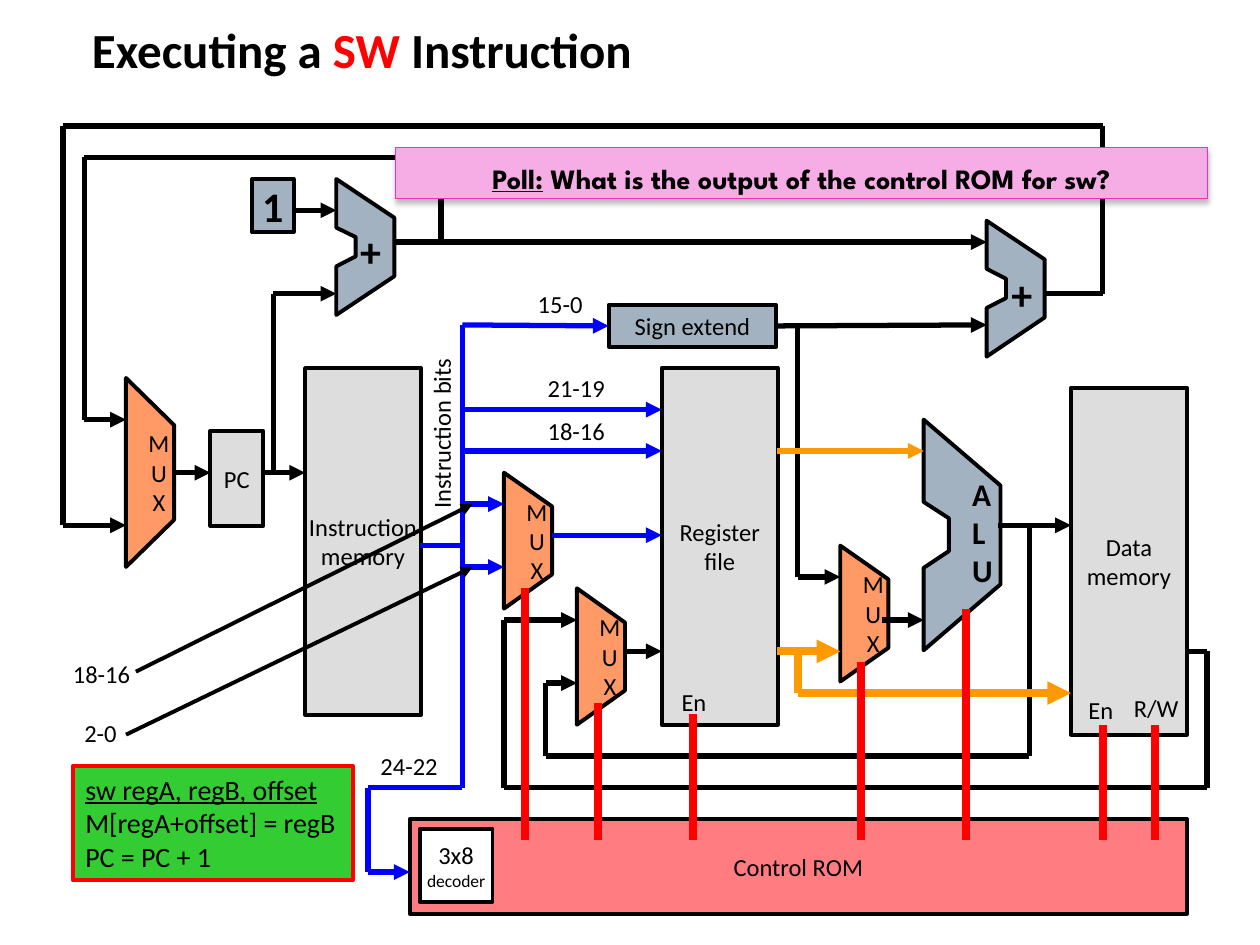
"""Build the datapath slide for executing a SW instruction."""
from itertools import pairwise

from lxml.etree import SubElement
from pptx import Presentation
from pptx.dml.color import RGBColor
from pptx.enum.shapes import MSO_CONNECTOR, MSO_SHAPE
from pptx.enum.text import MSO_ANCHOR, PP_ALIGN
from pptx.oxml.ns import qn
from pptx.util import Cm, Pt

COLORS = {
    "black": "000000", "white": "FFFFFF", "red": "FF0000", "blue": "0000FF",
    "orange": "FF9900", "gray": "DDDDDD", "steel": "A3B2C1", "salmon": "FF7C80",
    "peach": "FF9966", "green": "33CC33", "pink": "F6ADE5", "magenta": "E833BF",
}
RGB = {name: RGBColor.from_string(value) for name, value in COLORS.items()}


def lengths(*inches):
    """Convert inches on the slide grid to Cm lengths."""
    return [Cm(round(2.54 * value, 2)) for value in inches]


def finish(shape, text="", size=14, bold=False, fill=None, line="black", weight=2.25,
           align=PP_ALIGN.CENTER, anchor=MSO_ANCHOR.MIDDLE):
    """Apply fill, outline and text to a shape."""
    if fill:
        shape.shadow.inherit = False
        shape.fill.solid()
        shape.fill.fore_color.rgb = RGB[fill]
        shape.line.color.rgb = RGB[line]
        shape.line.width = Pt(weight)
    frame = shape.text_frame
    frame.text = text
    frame.word_wrap = False
    frame.vertical_anchor = anchor
    for paragraph in frame.paragraphs:
        paragraph.alignment = align
        for run in paragraph.runs:
            run.font.name = "Calibri"
            run.font.size = Pt(size)
            run.font.bold = bold
            run.font.color.rgb = RGB["black"]


presentation = Presentation()
presentation.slide_width, presentation.slide_height = lengths(10, 7.5)
slide = presentation.slides.add_slide(presentation.slide_layouts[5])
shapes = slide.shapes

title = shapes.title
title.left, title.top, title.width, title.height = lengths(0.63, -0.25, 8.75, 0.92)
title.text_frame.vertical_anchor = MSO_ANCHOR.BOTTOM
paragraph = title.text_frame.paragraphs[0]
paragraph.alignment = PP_ALIGN.LEFT
for text, color in [("Executing a ", "black"), ("SW", "red"), (" Instruction", "black")]:
    run = paragraph.add_run()
    run.text = text
    run.font.name = "Calibri"
    run.font.size = Pt(28)
    run.font.bold = True
    run.font.color.rgb = RGB[color]

boxes = {}
for text, size, bold, fill, place in [
    ("PC", 14, False, "gray", (1.67, 3.42, 0.42, 0.75)),
    ("Instruction\nmemory", 14, False, "gray", (2.42, 2.92, 0.92, 2.75)),
    ("Register\nfile", 14, False, "gray", (5.25, 2.92, 0.92, 2.83)),
    ("Data\nmemory", 14, False, "gray", (8.5, 3.08, 0.92, 2.75)),
    ("Control ROM", 14, False, "salmon", (3.25, 6.5, 6.17, 0.75)),
    ("Sign extend", 14, False, "steel", (4.83, 2.42, 1.33, 0.33)),
    ("1", 24, True, "steel", (2, 1.42, 0.33, 0.42)),
    ("3x8\ndecoder", 14, False, "white", (3.33, 6.58, 0.58, 0.58)),
]:
    boxes[text] = shapes.add_shape(MSO_SHAPE.RECTANGLE, *lengths(*place))
    finish(boxes[text], text, size, bold, fill)
boxes["3x8\ndecoder"].text_frame.paragraphs[1].runs[0].font.size = Pt(10)

mux_outline = [(0, 0), (1, 1 / 4), (1, 3 / 4), (0, 1)]
adder_outline = [(0, 0), (1, 4 / 14), (1, 10 / 14), (0, 1), (0, 9 / 14),
                 (1 / 3, 8 / 14), (1 / 3, 6 / 14), (0, 5 / 14)]
for outline, text, fill, left, top, width, height in [
    (mux_outline, "M\nU\nX", "peach", 1, 3, 0.38, 1.5),
    (mux_outline, "M\nU\nX", "peach", 4, 3.75, 0.38, 1.08),
    (mux_outline, "M\nU\nX", "peach", 4.58, 4.67, 0.38, 1.08),
    (mux_outline, "M\nU\nX", "peach", 6.67, 4.33, 0.38, 1.08),
    (adder_outline, "", "steel", 2.67, 1.42, 0.46, 1.08),
    (adder_outline, "", "steel", 7.83, 1.75, 0.46, 1.08),
    (adder_outline, "", "steel", 7.33, 3.33, 0.61, 1.83),
]:
    points = [lengths(left + x * width, top + y * height) for x, y in outline]
    builder = shapes.build_freeform(*points[0])
    builder.add_line_segments(points[1:])
    shape = builder.convert_to_shape()
    finish(shape, text, fill=fill)
    shape.text_frame.margin_left, shape.text_frame.margin_right = lengths(0.14, 0)

routes = [
    ("black", 3, True, [
        [(6.17, 2.58), (7.83, 2.58)],
        [(3.13, 1.92), (7.83, 1.92)],
        [(3.5, 1.92), (3.5, 1.25), (0.67, 1.25), (0.67, 3.33), (1, 3.33)],
        [(8.3, 2.33), (8.75, 2.33), (8.75, 1), (0.5, 1), (0.5, 4.17), (1, 4.17)],
        [(2.08, 3.75), (2.42, 3.75)],
        [(2.17, 3.75), (2.17, 2.33), (2.67, 2.33)],
        [(1.38, 3.75), (1.67, 3.75)],
        [(2.33, 1.67), (2.67, 1.67)],
        [(4.96, 5.17), (5.25, 5.17)],
        [(9.42, 5.17), (9.58, 5.17), (9.58, 6.25), (4, 6.25), (4, 4.92), (4.58, 4.92)],
        [(7.92, 4.17), (8.5, 4.17)],
        [(8.17, 4.17), (8.17, 6), (4.33, 6), (4.33, 5.42), (4.58, 5.42)],
        [(6.33, 2.58), (6.33, 4.58), (6.67, 4.58)],
        [(7, 4.92), (7.33, 4.92)],
    ]),
    ("blue", 3, False, [[(3.33, 4.33), (3.67, 4.33)], [(3.67, 2.58), (3.67, 6.25)]]),
    ("blue", 3, True, [
        [(3.67, 2.58), (4.83, 2.58)],
        [(3.67, 3.25), (5.25, 3.25)],
        [(3.67, 3.58), (5.25, 3.58)],
        [(3.67, 4), (4, 4)],
        [(3.67, 4.5), (4, 4.5)],
        [(4.38, 4.25), (5.25, 4.25)],
        [(3.67, 6.25), (2.92, 6.25), (2.92, 6.92), (3.25, 6.92)],
    ]),
    ("orange", 3, True, [[(6.17, 3.58), (7.33, 3.58)]]),
    ("orange", 4.5, True, [
        [(6.17, 5.17), (6.67, 5.17)],
        [(6.33, 5.17), (6.33, 5.5), (8.5, 5.5)],
    ]),
    ("red", 4.5, False, [
        [(x, top), (x, 6.67)] for x, top in [
            (4.17, 4.67), (4.75, 5.58), (5.5, 5.67), (6.83, 5.25),
            (7.67, 4.83), (8.75, 5.75), (9.17, 5.75)]
    ]),
    ("black", 2.25, True, [[(1.08, 5.33), (3.75, 4)], [(1, 5.83), (3.75, 4.5)]]),
]
sites = {(4.83, 2.58): (boxes["Sign extend"], 1), (6.17, 2.58): (boxes["Sign extend"], 3)}
for color, weight, arrow, wires in routes:
    for wire in wires:
        for start, end in pairwise(wire):
            connector = shapes.add_connector(MSO_CONNECTOR.STRAIGHT, *lengths(*start, *end))
            if start in sites:
                connector.begin_connect(*sites[start])
            if end in sites:
                connector.end_connect(*sites[end])
            connector.line.color.rgb = RGB[color]
            connector.line.width = Pt(weight)
            properties = connector._element.spPr
            if arrow and end == wire[-1]:
                SubElement(properties.find(qn("a:ln")), qn("a:tailEnd"), type="triangle")
            SubElement(properties, qn("a:effectLst"))

for text, size, bold, rotation, place in [
    ("+", 24, True, 0, (2.76, 1.74, 0.37, 0.51)),
    ("+", 24, True, 0, (7.93, 2.08, 0.37, 0.51)),
    ("A\nL\nU", 18, True, 0, (7.62, 3.72, 0.37, 1.01)),
    ("R/W", 14, False, 0, (8.9, 5.45, 0.56, 0.34)),
    ("En", 14, False, 0, (8.54, 5.47, 0.4, 0.34)),
    ("En", 14, False, 0, (5.31, 5.4, 0.4, 0.34)),
    ("Instruction bits", 14, False, 270, (2.8, 3.26, 1.41, 0.34)),
    ("15-0", 14, False, 0, (4.17, 2.25, 0.56, 0.34)),
    ("21-19", 14, False, 0, (4.25, 2.91, 0.66, 0.34)),
    ("18-16", 14, False, 0, (4.25, 3.25, 0.66, 0.34)),
    ("24-22", 14, False, 0, (2.92, 5.91, 0.66, 0.34)),
    ("18-16", 14, False, 0, (0.48, 5.18, 0.66, 0.34)),
    ("2-0", 14, False, 0, (0.57, 5.65, 0.46, 0.34)),
]:
    label = shapes.add_textbox(*lengths(*place))
    label.rotation = rotation
    finish(label, text, size, bold, align=PP_ALIGN.LEFT, anchor=MSO_ANCHOR.TOP)

semantics = shapes.add_shape(MSO_SHAPE.RECTANGLE, *lengths(0.58, 6.08, 2.22, 0.91))
finish(semantics, "sw regA, regB, offset\nM[regA+offset] = regB\nPC = PC + 1", 16,
       fill="green", line="red", align=PP_ALIGN.LEFT, anchor=MSO_ANCHOR.TOP)
semantics.text_frame.paragraphs[0].runs[0].font.underline = True

poll = shapes.add_shape(MSO_SHAPE.RECTANGLE, *lengths(3.14, 1.17, 6.44, 0.41))
finish(poll, "Poll:", 16, True, "pink", "magenta", 0.75, anchor=MSO_ANCHOR.TOP)
poll.text_frame.word_wrap = True
paragraph = poll.text_frame.paragraphs[0]
paragraph.line_spacing = 1.25
paragraph.add_run().text = " What is the output of the control ROM for sw?"
for run, underline in zip(paragraph.runs, [True, False]):
    run.font.name = "League Spartan"
    run.font.size = Pt(16)
    run.font.bold = True
    run.font.underline = underline
    run.font.color.rgb = RGB["black"]
effects = poll._element.spPr.find(qn("a:effectLst"))
shadow = SubElement(effects, qn("a:outerShdw"), blurRad=str(Pt(3)), dist=str(Pt(2)),
                    dir="5400000", rotWithShape="0")
shadow_color = SubElement(shadow, qn("a:srgbClr"), val=COLORS["black"])
SubElement(shadow_color, qn("a:alpha"), val="25000")

presentation.save("out.pptx")
